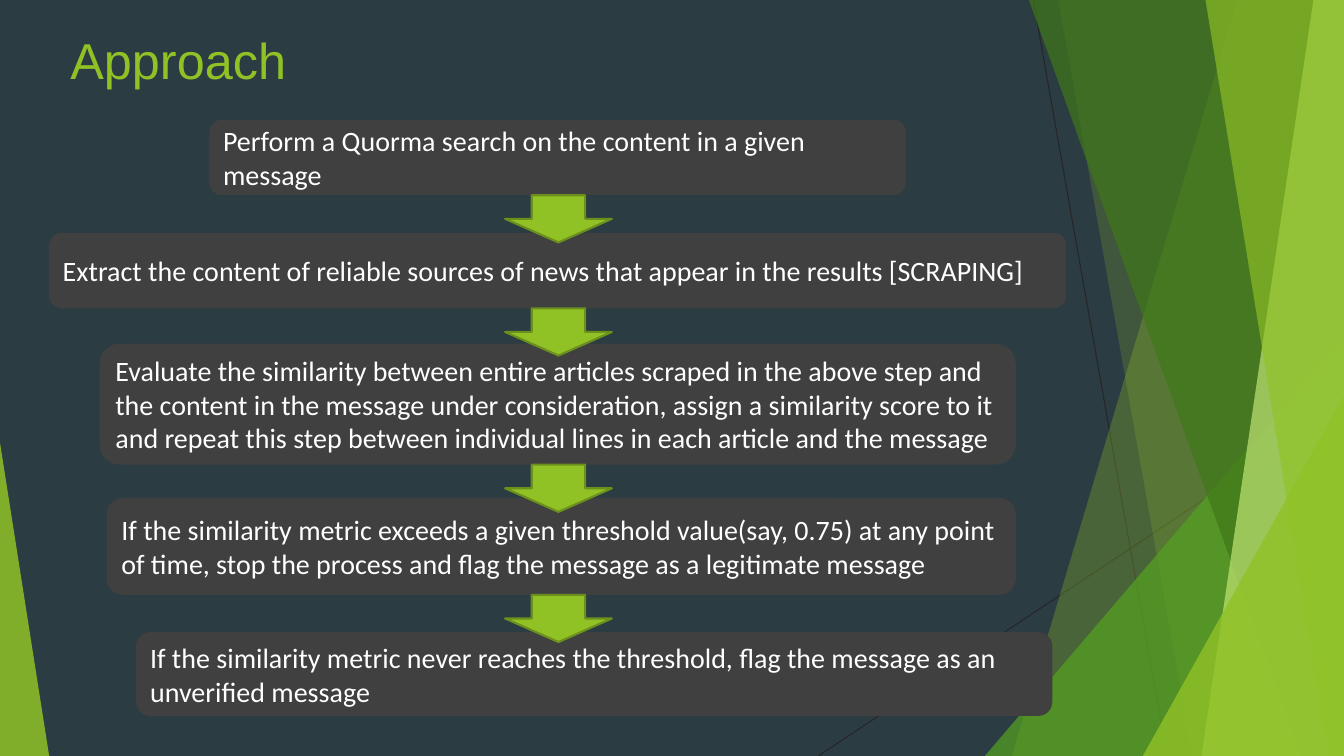
from lxml import etree
from pptx import Presentation
from pptx import util as u
from pptx.dml.color import RGBColor
from pptx.enum import shapes, text
from pptx.oxml.ns import qn

WIDTH, HEIGHT = 33.87, 19.05
COLOURS = {
    "background": "2C3C43",
    "hairline": "262626",
    "lime": "90C226",
    "lime edge": "6B901C",
    "green": "54A021",
    "forest": "3F7819",
    "pale": "C0E474",
    "box": "404040",
    "white": "FFFFFF",
}


class SlidePainter:
    """Holds the palette and the current slide; all lengths are in cm."""

    def __init__(self, slide, colours):
        self.slide = slide
        self.colours = colours

    def rgb(self, name):
        return RGBColor.from_string(self.colours[name])

    def background(self, colour):
        fill = self.slide.background.fill
        fill.solid()
        fill.fore_color.rgb = self.rgb(colour)

    def paint(self, shape, colour, opacity=100):
        """Give a flat fill with no outline and no shadow."""
        shape.shadow.inherit = False
        shape.fill.solid()
        shape.fill.fore_color.rgb = self.rgb(colour)
        shape.line.fill.background()
        if opacity < 100:
            hue = shape._element.spPr.find(qn("a:solidFill"))[0]
            etree.SubElement(hue, qn("a:alpha"), val=str(opacity * 1000))

    def preset(self, kind, frame, colour, opacity=100):
        shape = self.slide.shapes.add_shape(kind, *map(u.Cm, frame))
        self.paint(shape, colour, opacity)
        return shape

    def hairline(self, *ends):
        line = self.slide.shapes.add_connector(
            shapes.MSO_CONNECTOR.STRAIGHT, *map(u.Cm, ends))
        line.line.color.rgb = self.rgb("hairline")
        line.line.width = u.Pt(0.75)
        etree.SubElement(line._element.spPr, qn("a:effectLst"))

    def facet(self, top, bottom, colour, opacity):
        """Fill from a slanted edge, top x to bottom x, to the right side."""
        corners = [(top, 0), (WIDTH, 0), (WIDTH, HEIGHT), (bottom, HEIGHT)]
        points = [(u.Cm(x), u.Cm(y)) for x, y in corners]
        builder = self.slide.shapes.build_freeform(*points[0])
        builder.add_line_segments(points[1:], close=True)
        self.paint(builder.convert_to_shape(), colour, opacity)

    def triangle(self, left, top, width, apex, colour, opacity):
        """Draw a triangle standing on the slide's bottom edge."""
        shape = self.preset(shapes.MSO_SHAPE.ISOSCELES_TRIANGLE,
                            (left, top, width, HEIGHT - top), colour, opacity)
        shape.adjustments[0] = apex

    def add_words(self, shape, words, font, size, colour, space_before=0):
        frame = shape.text_frame
        frame.word_wrap = True
        frame.auto_size = text.MSO_AUTO_SIZE.NONE
        frame.vertical_anchor = text.MSO_ANCHOR.MIDDLE
        para = frame.paragraphs[0]
        para.alignment = text.PP_ALIGN.LEFT
        para.space_before = u.Pt(space_before)
        span = para.add_run()
        span.text = words
        span.font.name = font
        span.font.size = u.Pt(size)
        span.font.color.rgb = self.rgb(colour)

    def title(self, words, frame):
        title = self.slide.shapes.title
        title.left, title.top, title.width, title.height = map(u.Cm, frame)
        self.add_words(title, words, "Arial", 36, "lime")

    def step(self, words, frame):
        box = self.preset(shapes.MSO_SHAPE.ROUNDED_RECTANGLE, frame, "box")
        self.add_words(box, words, "Calibri", 20, "white", space_before=10)

    def down_arrow(self, top):
        arrow = self.preset(shapes.MSO_SHAPE.DOWN_ARROW,
                            (12.73, top, 2.69, 1.19), "lime")
        arrow.line.color.rgb = self.rgb("lime edge")
        arrow.line.width = u.Pt(1.5)


STEPS = [
    ("Perform a Quorma search on the content in a given message",
     (5.28, 3.02, 17.55, 1.9)),
    ("Extract the content of reliable sources of news that appear in the "
     "results [SCRAPING]",
     (1.24, 5.87, 25.63, 1.9)),
    ("Evaluate the similarity between entire articles scraped in the above "
     "step and the content in the message under consideration, assign a "
     "similarity score to it and repeat this step between individual lines "
     "in each article and the message",
     (2.51, 8.66, 23.09, 3.05)),
    ("If the similarity metric exceeds a given threshold value(say, 0.75) at "
     "any point of time, stop the process and flag the message as a "
     "legitimate message",
     (2.69, 12.55, 22.91, 2.44)),
    ("If the similarity metric never reaches the threshold, flag the message "
     "as an unverified message",
     (3.43, 15.93, 23.09, 2.11)),
]


def main():
    deck = Presentation()
    deck.slide_width, deck.slide_height = u.Cm(WIDTH), u.Cm(HEIGHT)
    page = deck.slides.add_slide(deck.slide_layouts.get_by_name("Title Only"))
    painter = SlidePainter(page, COLOURS)

    painter.background("background")
    painter.hairline(26.04, 0, 29.41, HEIGHT)
    painter.hairline(WIDTH, 10.24, 20.62, HEIGHT)
    painter.facet(31.19, 25.5, "lime", 30)
    painter.facet(26.67, 30.05, "lime", 20)
    painter.triangle(24.82, 8.46, 9.05, 1, "green", 72)
    painter.facet(25.93, 32.79, "forest", 70)
    painter.facet(33.1, 30.28, "pale", 70)
    painter.facet(30.38, 33.48, "lime", 65)
    painter.triangle(28.8, 9.98, 5.07, 1, "lime", 80)
    painter.triangle(0, 11.15, 1.24, 0, "lime", 85)

    painter.title("Approach", (1.52, 0.56, 15.65, 1.85))
    for words, frame in STEPS:
        painter.step(words, frame)
    for _, (_, top, _, height) in STEPS[:-1]:
        painter.down_arrow(top + height)

    deck.save("out.pptx")


if __name__ == "__main__":
    main()
